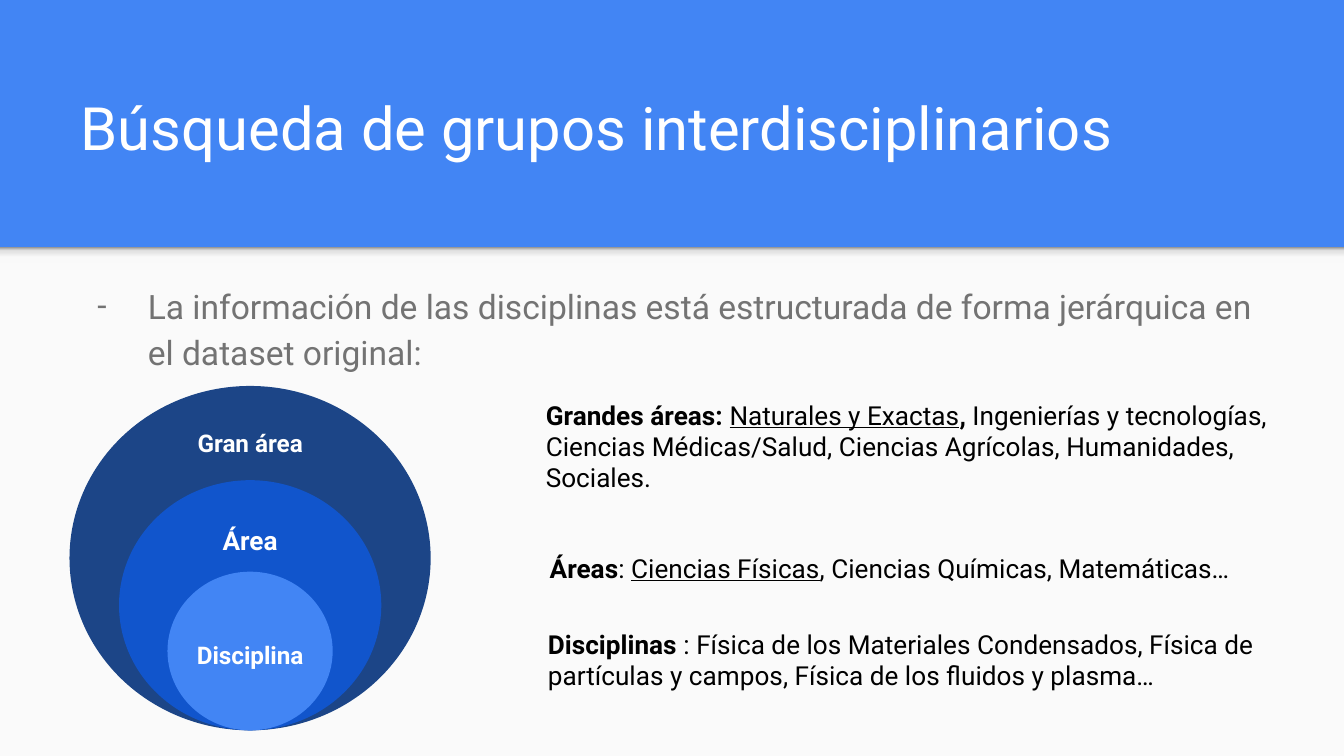
from lxml import etree
from pptx import Presentation
from pptx.dml.color import RGBColor
from pptx.enum.shapes import MSO_SHAPE as Shape
from pptx.enum.text import MSO_ANCHOR as Anchor, MSO_AUTO_SIZE as AutoSize, PP_ALIGN as Align
from pptx.oxml import parse_xml
from pptx.oxml.ns import nsdecls, qn
from pptx.util import Pt

COLORS = {
    "header": "4285F4", "panel": "FAFAFA", "white": "FFFFFF", "black": "000000",
    "gray": "737373", "outer": "1C4587", "middle": "1155CC", "inner": "4285F4",
    "shade_light": "F9F9F9", "shade_mid": "DEDEDE", "shade_dark": "999999",
}
FONT = "Roboto"
WIDTH, HEIGHT, HEADER = 720, 405, 132.5


def rgb(name):
    return RGBColor.from_string(COLORS[name])


def place(item, box):
    item.left, item.top, item.width, item.height = (Pt(value) for value in box)


def add_span(para, text, size=14, color="black", bold=False, underline=False):
    span = para.add_run()
    span.text = text
    font = span.font
    font.name, font.size, font.bold, font.underline = FONT, Pt(size), bold, underline
    font.color.rgb = rgb(color)


def set_frame(frame, anchor=Anchor.TOP, fit=AutoSize.NONE):
    frame.word_wrap = True
    frame.auto_size = fit
    frame.vertical_anchor = anchor
    frame.margin_left = frame.margin_right = Pt(7.2)
    frame.margin_top = frame.margin_bottom = Pt(7.2)


def add_shape(page, kind, box, color):
    shape = page.shapes.add_shape(kind, *(Pt(value) for value in box))
    shape.shadow.inherit = False
    shape.fill.solid()
    shape.fill.fore_color.rgb = rgb(color)
    shape.line.fill.background()
    return shape


def add_panel(page, box):
    """Light content panel with a soft shade along its top edge."""
    left, top, width, _ = box
    add_shape(page, Shape.RECTANGLE, box, "panel")
    shade = add_shape(page, Shape.RECTANGLE, (left, top, width, 8.5), "panel")
    stops = [(0, "shade_light"), (36, "shade_light"), (80, "shade_mid"), (100, "shade_dark")]
    stop_xml = "".join(
        f'<a:gs pos="{pos * 1000}"><a:srgbClr val="{COLORS[name]}"/></a:gs>' for pos, name in stops)
    gradient = parse_xml(
        f'<a:gradFill {nsdecls("a")}><a:gsLst>{stop_xml}</a:gsLst>'
        '<a:lin ang="16200000" scaled="0"/></a:gradFill>')
    properties = shade.element.spPr
    properties.replace(properties.find(qn("a:solidFill")), gradient)


def fill_title(title, box, text):
    place(title, box)
    set_frame(title.text_frame, Anchor.BOTTOM)
    para = title.text_frame.paragraphs[0]
    para.alignment = Align.LEFT
    add_span(para, text, size=32, color="white")


def fill_body(body, box, text):
    place(body, box)
    set_frame(body.text_frame)
    para = body.text_frame.paragraphs[0]
    para.line_spacing, para.space_before = 1.15, Pt(0)
    properties = para._p.get_or_add_pPr()
    properties.set("marL", str(Pt(36)))
    properties.set("indent", str(Pt(-27)))
    bullet_color = etree.SubElement(properties, qn("a:buClr"))
    etree.SubElement(bullet_color, qn("a:srgbClr"), val=COLORS["gray"])
    etree.SubElement(properties, qn("a:buFont"), typeface=FONT)
    etree.SubElement(properties, qn("a:buChar"), char="-")
    add_span(para, text, size=18, color="gray")


def add_rings(page, box, rings):
    """Nested ellipses, centred and resting on the bottom of the box."""
    left, top, box_width, box_height = box
    center, bottom = left + box_width / 2, top + box_height
    for text, color, (width, height), (label_top, label_width, label_height), size in rings:
        add_shape(page, Shape.OVAL, (center - width / 2, bottom - height, width, height), color)
        label = add_shape(page, Shape.RECTANGLE,
                          (center - label_width / 2, label_top, label_width, label_height), color)
        set_frame(label.text_frame, Anchor.MIDDLE)
        para = label.text_frame.paragraphs[0]
        para.alignment = Align.CENTER
        add_span(para, text, size=size, color="white", bold=True)


def add_level(page, box, spans):
    """Description of one level; each span is its text and its format."""
    frame = page.shapes.add_textbox(*(Pt(value) for value in box)).text_frame
    set_frame(frame, fit=AutoSize.SHAPE_TO_FIT_TEXT)
    for text, style in spans:
        add_span(frame.paragraphs[0], text, **style)


def main():
    deck = Presentation()
    deck.slide_width, deck.slide_height = Pt(WIDTH), Pt(HEIGHT)
    page = deck.slides.add_slide(deck.slide_layouts[1])
    page.background.fill.solid()
    page.background.fill.fore_color.rgb = rgb("header")
    title, body = page.placeholders

    # Panel goes behind the placeholders
    add_panel(page, (0, HEADER, WIDTH, HEIGHT - HEADER))
    for holder in (title, body):
        page.shapes._spTree.append(holder.element)

    # Title and introduction
    fill_title(title, (36, 34, 647.5, 60.5), "Búsqueda de grupos interdisciplinarios")
    fill_body(body, (36, 142.5, 647.5, 84),
              "La información de las disciplinas está estructurada de forma jerárquica "
              "en el dataset original:")

    # Hierarchy diagram: ellipse size, label top and size, text size
    add_rings(page, (37.25, 206.75, 193.5, 184.5), [
        ("Gran área", "outer", (193.5, 184.5), (221, 95, 32.4), 13),
        ("Área", "middle", (140.5, 134), (274, 88.5, 31), 14),
        ("Disciplina", "inner", (88.5, 85), (332, 74.5, 37.5), 13),
    ])

    # Descriptions of the levels
    bold, plain, underlined = {"bold": True}, {}, {"underline": True}
    add_level(page, (285.3, 206.5, 417, 65.5), [
        ("Grandes áreas: ", bold), ("Naturales y Exactas", underlined), (", ", bold),
        ("Ingenierías y tecnologías, Ciencias Médicas/Salud, Ciencias Agrícolas, "
         "Humanidades, Sociales.", plain)])
    add_level(page, (287.4, 288.6, 412.5, 31.7), [
        ("Áreas", bold), (": ", plain), ("Ciencias Físicas", underlined),
        (", Ciencias Químicas, Matemáticas…", plain)])
    add_level(page, (286.5, 329.5, 412.5, 48.2), [
        ("Disciplinas ", bold),
        (": Física de los Materiales Condensados, Física de partículas y campos, "
         "Física de los fluidos y plasma…", plain)])

    deck.save("out.pptx")


if __name__ == "__main__":
    main()
